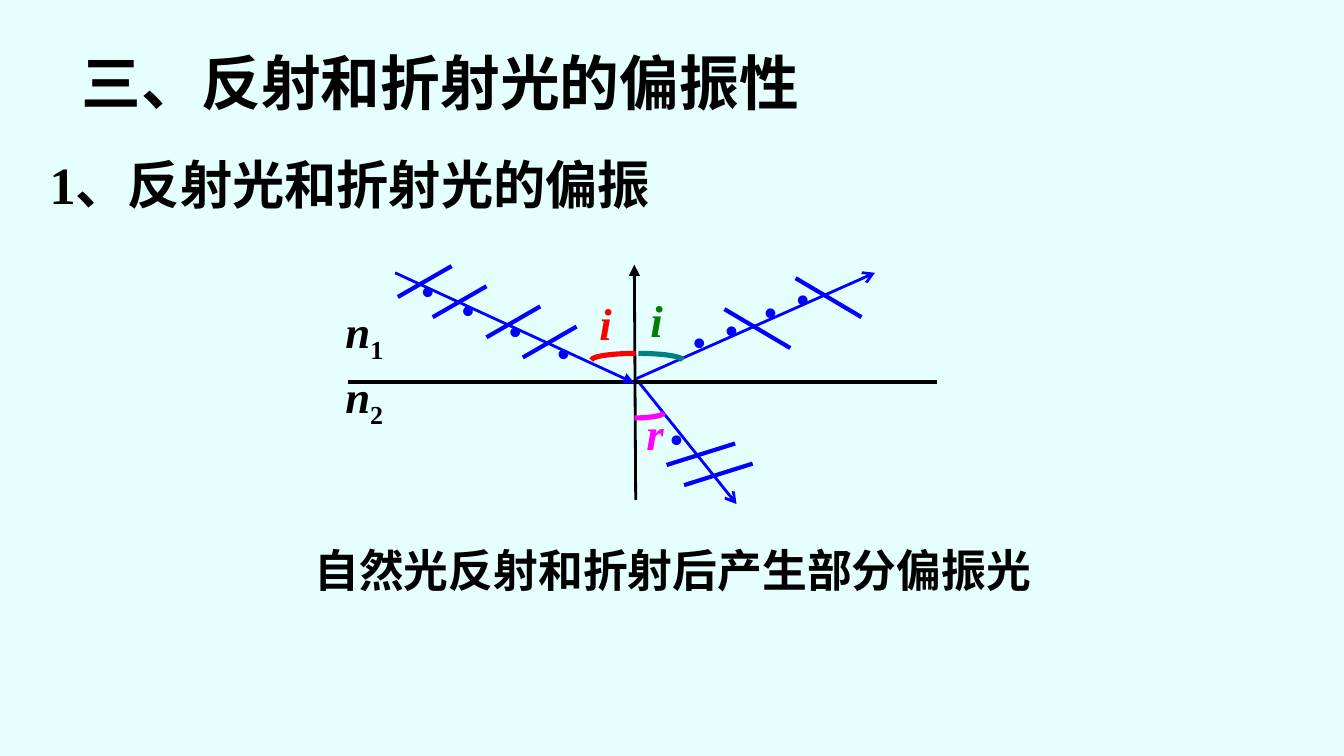
from typing import NamedTuple

from lxml import etree
from pptx import Presentation
from pptx import util as u
from pptx.dml import color as c
from pptx.enum import shapes as s
from pptx.enum import text as t
from pptx.oxml import ns

SERIF, SANS = "Times New Roman", "Noto Sans CJK SC"
BLUE, BLACK, RED, GREEN, TEAL, MAGENTA = (
    "0000FF", "000000", "FF0000", "008000", "008080", "FF00FF")


class Line(NamedTuple):
    x1: float
    y1: float
    x2: float
    y2: float
    width: float = 2.25
    color: str = BLUE
    arrow: str = ""


class Arc(NamedTuple):
    """A quarter ellipse; angles run clockwise from the right."""
    center_x: float
    center_y: float
    radius_x: float
    radius_y: float
    start: int
    color: str


class Label(NamedTuple):
    text: str
    left: float
    top: float
    width: float
    height: float
    color: str = BLACK
    subscript: str = ""


AXES_AND_RAYS = [
    Line(4.75, 2.84, 5.48, 3.75, 1.5, BLUE, "arrow"),
    Line(2.59, 2.84, 6.97, 2.84, 2.25, BLACK),
    Line(4.73, 3.72, 4.72, 1.97, 1.5, BLACK, "triangle"),
    Line(2.94, 2.03, 4.72, 2.85, 1.5, BLUE, "triangle"),
    Line(4.73, 2.82, 6.51, 2.03, 1.5, BLUE, "arrow"),
]
# Start points of the parallel strokes on each ray, with their common extent
STROKES = [
    ([(2.96, 2.21), (3.22, 2.36), (3.62, 2.51), (3.89, 2.66)], 0.4, -0.23),
    ([(5.39, 2.3), (5.92, 2.07)], 0.49, 0.29),
    ([(4.96, 3.46), (5.09, 3.61)], 0.51, -0.16),
]
ARCS = [
    Arc(4.75, 2.68, 0.33, 0.05, 270, TEAL),
    Arc(4.73, 2.68, 0.33, 0.05, 180, RED),
    Arc(4.72, 3.07, 0.22, 0.04, 0, MAGENTA),
]
DOTS = [
    (3.1, 1.87, 0.68, 0.29), (3.4, 2.01, 0.6, 0.29),
    (3.75, 2.17, 0.49, 0.32), (4.11, 2.33, 0.57, 0.3),
    (5.12, 2.25, 0.82, 0.36), (5.36, 2.16, 0.81, 0.29),
    (5.65, 2.03, 0.62, 0.26), (5.89, 1.93, 0.46, 0.24),
    (4.95, 2.97, 1.03, 0.32),
]
LABELS = [
    Label("n", 2.56, 2.25, 0.62, 0.24, subscript="1"),
    Label("n", 2.56, 2.73, 0.7, 0.25, subscript="2"),
    Label("i", 4.45, 2.19, 0.54, 0.2, RED),
    Label("i", 4.83, 2.17, 0.7, 0.27, GREEN),
    Label("r", 4.8, 3.01, 0.6, 0.29, MAGENTA),
]


def paint(target, color: str) -> None:
    """Give a fill or a line a solid colour."""
    fill = getattr(target, "fill", target)
    fill.solid()
    fill.fore_color.rgb = c.RGBColor.from_string(color)


def add_run(paragraph, text: str, *, size: float, color: str = BLACK,
            font: str = SERIF, east_asian_font: str = "",
            italic: bool = False, baseline: int = 0) -> None:
    run = paragraph.add_run()
    run.text = text
    run.font.size, run.font.name = u.Pt(size), font
    run.font.bold, run.font.italic = True, italic
    run.font.color.rgb = c.RGBColor.from_string(color)
    properties = run._r.get_or_add_rPr()
    etree.SubElement(properties, ns.qn("a:ea"), typeface=east_asian_font or font)
    if baseline:
        properties.set("baseline", str(baseline))


def write(shape, text: str, box: tuple, *, inset: float = 0.01,
          align=t.PP_ALIGN.JUSTIFY, **run_format):
    """Place a text shape, fill in its only paragraph and return that."""
    shape.left, shape.top, shape.width, shape.height = map(u.Inches, box)
    frame = shape.text_frame
    frame.auto_size, frame.word_wrap = t.MSO_AUTO_SIZE.NONE, True
    frame.vertical_anchor = t.MSO_ANCHOR.TOP
    frame.margin_left = frame.margin_right = u.Inches(inset)
    frame.margin_top = frame.margin_bottom = u.Inches(min(inset, 0.05))
    paragraph = frame.paragraphs[0]
    paragraph.alignment, paragraph.space_before = align, u.Pt(0)
    add_run(paragraph, text, **run_format)
    return paragraph


def draw_line(slide, line: Line) -> None:
    connector = slide.shapes.add_connector(
        s.MSO_CONNECTOR.STRAIGHT, *map(u.Inches, line[:4]))
    connector.line.width = u.Pt(line.width)
    paint(connector.line, line.color)
    if line.arrow:
        etree.SubElement(connector.line._get_or_add_ln(),
                         ns.qn("a:tailEnd"), type=line.arrow)
    etree.SubElement(connector._element.spPr, ns.qn("a:effectLst"))


def draw_arc(slide, arc: Arc) -> None:
    shape = slide.shapes.add_shape(
        s.MSO_SHAPE.ARC,
        u.Inches(arc.center_x - arc.radius_x), u.Inches(arc.center_y - arc.radius_y),
        u.Inches(2 * arc.radius_x), u.Inches(2 * arc.radius_y))
    # Angles are stored in 60000ths of a degree, adjustments in 100000ths
    shape.adjustments[0] = arc.start * 0.6
    shape.adjustments[1] = (arc.start + 90) % 360 * 0.6
    shape.shadow.inherit = False
    shape.fill.background()
    shape.line.width = u.Pt(2.75)
    paint(shape.line, arc.color)


def add_textbox(slide):
    return slide.shapes.add_textbox(0, 0, 0, 0)


def main() -> None:
    presentation = Presentation()
    presentation.slide_width = u.Inches(10)
    presentation.slide_height = u.Inches(10 * 9 / 16)
    slide = presentation.slides.add_slide(presentation.slide_layouts[1])
    paint(slide.background.fill, "E5FFFF")
    title, body = slide.placeholders

    write(title, "三、反射和折射光的偏振性", (0.51, 0.29, 6.34, 0.64), inset=0.1,
          align=t.PP_ALIGN.LEFT, size=32, font=SANS)
    heading = write(body, "1、反射光和折射光的偏振", (0.27, 1.08, 4.73, 1.04), inset=0.1,
                    align=t.PP_ALIGN.LEFT, size=28, east_asian_font=SANS)
    properties = heading._p.get_or_add_pPr()
    properties.set("marL", "0")
    properties.set("indent", "0")
    etree.SubElement(properties, ns.qn("a:buNone"))
    write(add_textbox(slide), "自然光反射和折射后产生部分偏振光", (2.24, 3.99, 5.75, 0.47),
          inset=0.1, size=24, east_asian_font=SANS)

    for line in AXES_AND_RAYS:
        draw_line(slide, line)
    for starts, dx, dy in STROKES:
        for x, y in starts:
            draw_line(slide, Line(x, y, x + dx, y + dy))
    for arc in ARCS:
        draw_arc(slide, arc)
    for box in DOTS:
        write(add_textbox(slide), "·", box, size=32, color=BLUE)
    for label in LABELS:
        paragraph = write(add_textbox(slide), label.text, label[1:5], size=24,
                          color=label.color, italic=True)
        if label.subscript:
            add_run(paragraph, label.subscript, size=24, baseline=-25000)

    presentation.save("out.pptx")


if __name__ == "__main__":
    main()
